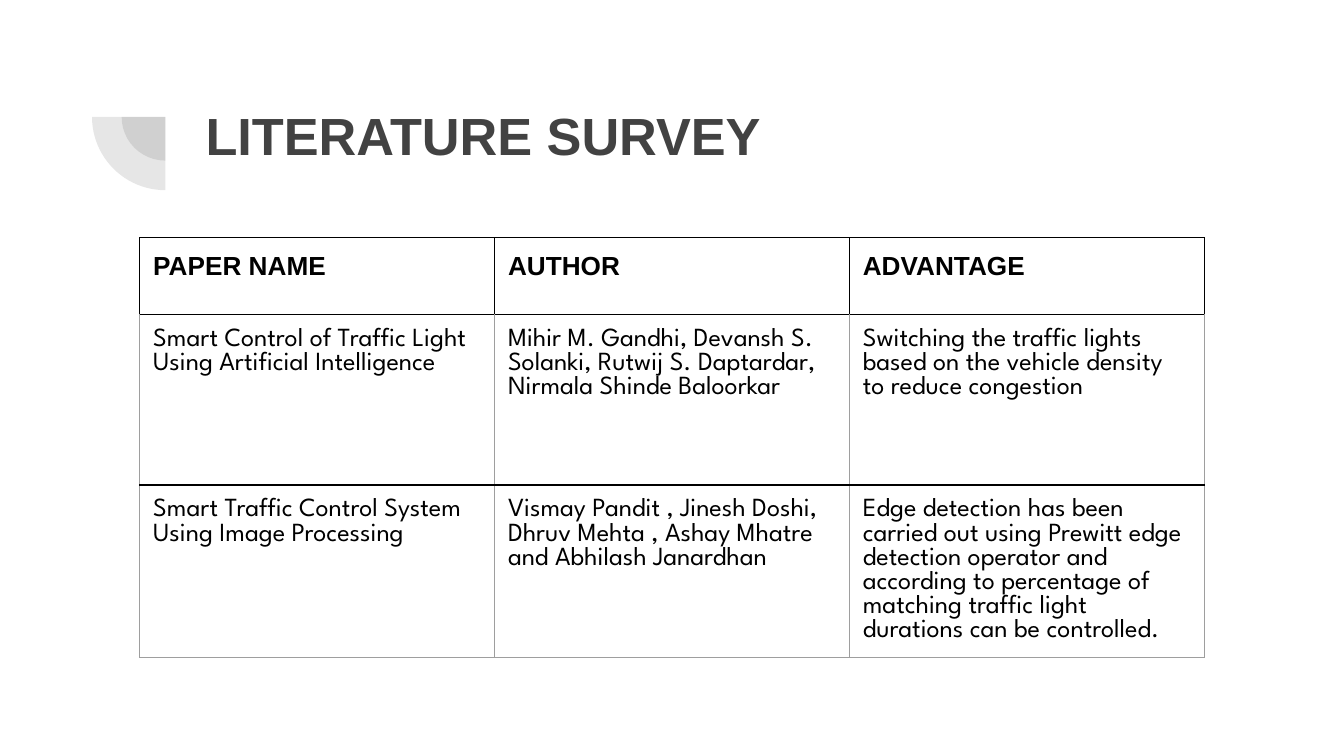
from dataclasses import dataclass

from lxml.etree import SubElement
from pptx import Presentation
from pptx.dml.color import RGBColor
from pptx.enum.shapes import MSO_SHAPE
from pptx.enum.text import MSO_ANCHOR, PP_ALIGN
from pptx.oxml import parse_xml
from pptx.oxml.ns import nsdecls, qn
from pptx.util import Inches, Pt


@dataclass(frozen=True)
class Theme:
    gray: str = "424242"
    black: str = "000000"
    grid: str = "9E9E9E"
    heading_font: str = "Arial"
    body_font: str = "League Spartan"
    title_size: int = 28
    table_size: int = 14


theme = Theme()


def format_runs(frame, font, size, color, bold):
    for para in frame.paragraphs:
        para.alignment = PP_ALIGN.LEFT
        for span in para.runs:
            span.font.name = font
            span.font.size = Pt(size)
            span.font.bold = bold
            span.font.color.rgb = RGBColor.from_string(color)


def set_borders(cell, left, right, top, bottom):
    properties = cell._tc.get_or_add_tcPr()
    sides = zip("LRTB", (left, right, top, bottom))
    for index, (side, color) in enumerate(sides):
        properties.insert(index, parse_xml(
            f'<a:ln{side} {nsdecls("a")} w="{Pt(0.75)}"><a:solidFill>'
            f'<a:srgbClr val="{color}"/></a:solidFill></a:ln{side}>'))


deck = Presentation()
deck.slide_width = Inches(10)
deck.slide_height = Inches(10) * 9 // 16
page = deck.slides.add_slide(deck.slide_layouts[5])

center_x, center_y = 1.23, 0.87
for diameter in (0.65, 1.09):
    corner = diameter / 2
    pie = page.shapes.add_shape(
        MSO_SHAPE.PIE, Inches(center_x - corner), Inches(center_y - corner),
        Inches(diameter), Inches(diameter))
    pie.adjustments[0] = 108
    pie.adjustments[1] = 162
    pie.rotation = 270
    pie.shadow.inherit = False
    pie.fill.solid()
    pie.fill.fore_color.rgb = RGBColor.from_string(theme.gray)
    color_node = pie._element.spPr.find(qn("a:solidFill"))[0]
    SubElement(color_node, qn("a:alpha"), val="13000")
    pie.line.fill.background()

title = page.shapes.title
title.left, title.top = Inches(1.43), Inches(0.65)
title.width, title.height = Inches(7.69), Inches(0.7)
frame = title.text_frame
frame.text = "LITERATURE SURVEY"
frame.word_wrap = True
frame.vertical_anchor = MSO_ANCHOR.MIDDLE
frame.margin_left = frame.margin_right = Inches(0.1)
frame.margin_top = frame.margin_bottom = Inches(0.1)
format_runs(frame, theme.heading_font, theme.title_size, theme.gray, True)

papers = [
    ("PAPER NAME", "AUTHOR", "ADVANTAGE"),
    ("Smart Control of Traffic Light Using Artificial Intelligence",
     "Mihir M. Gandhi, Devansh S. Solanki, Rutwij S. Daptardar, "
     "Nirmala Shinde Baloorkar",
     "Switching the traffic lights based on the vehicle density "
     "to reduce congestion"),
    ("Smart Traffic Control System Using Image Processing",
     "Vismay Pandit , Jinesh Doshi, Dhruv Mehta , Ashay Mhatre "
     "and Abhilash Janardhan",
     "Edge detection has been carried out using Prewitt edge detection "
     "operator and according to percentage of matching traffic light "
     "durations can be controlled."),
]
row_heights = (0.57, 1.27, 1.01)
table = page.shapes.add_table(
    len(papers), 3, Inches(1.04), Inches(1.77),
    Inches(3 * 2.64), Inches(sum(row_heights))).table
table.first_row = False
table.horz_banding = False
for column in table.columns:
    column.width = Inches(2.64)

for row_index, (paper, height) in enumerate(zip(papers, row_heights)):
    table.rows[row_index].height = Inches(height)
    is_header = row_index == 0
    is_last = row_index == len(papers) - 1
    side_color = theme.black if is_header else theme.grid
    bottom_color = theme.grid if is_last else theme.black
    for column_index, text in enumerate(paper):
        cell = table.cell(row_index, column_index)
        cell.text_frame.text = text
        cell.margin_left = cell.margin_right = Inches(0.1)
        cell.margin_top = cell.margin_bottom = Inches(0.1)
        cell.vertical_anchor = MSO_ANCHOR.TOP
        cell.fill.background()
        font = theme.heading_font if is_header else theme.body_font
        format_runs(cell.text_frame, font, theme.table_size, theme.black, is_header)
        set_borders(cell, side_color, side_color, theme.black, bottom_color)

deck.save("out.pptx")
